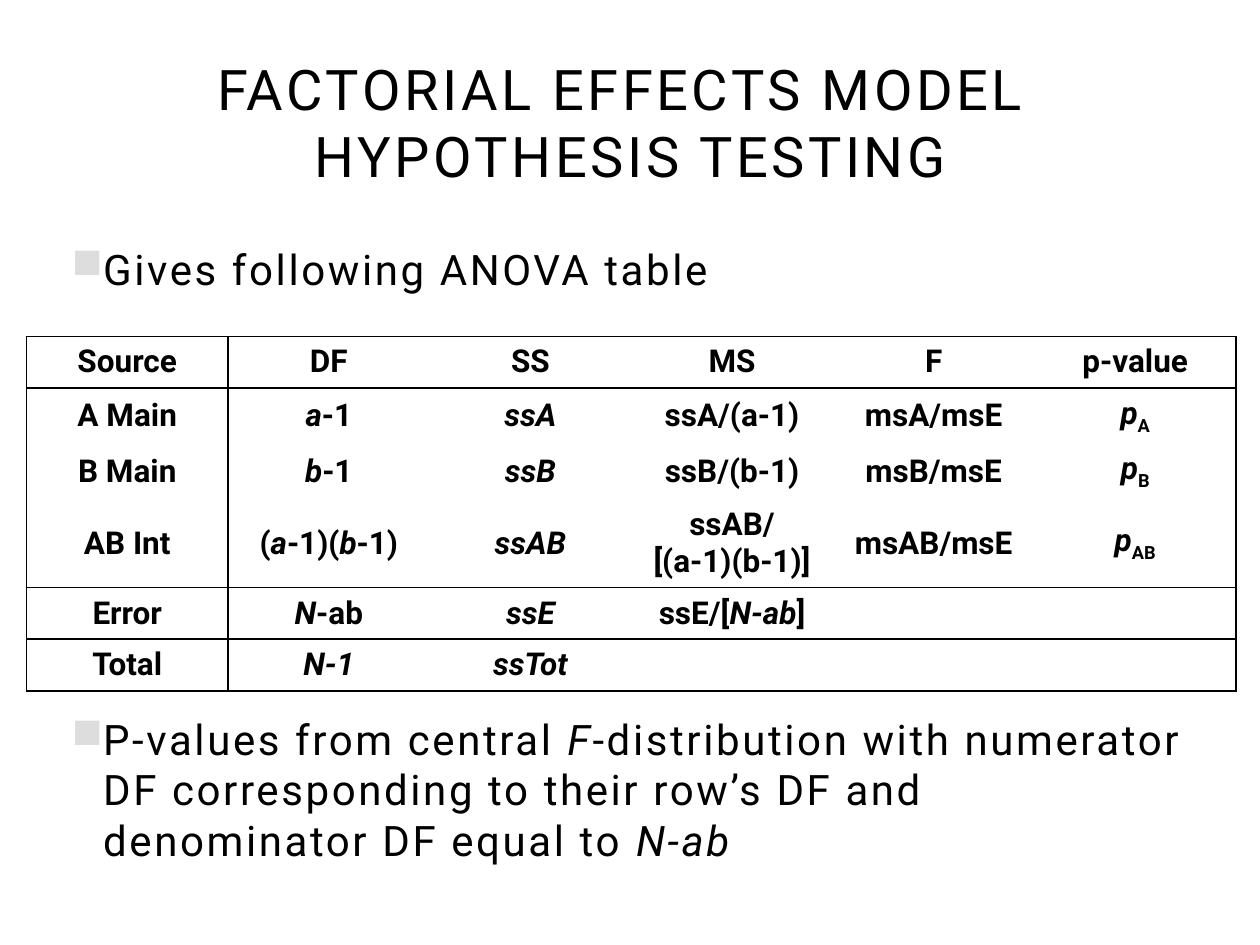
"""Build a slide with the ANOVA table for factorial effects hypothesis testing."""
from dataclasses import dataclass

import pptx
import pptx.dml.color
import pptx.enum.text
import pptx.oxml
import pptx.oxml.ns
import pptx.util

Inches = pptx.util.Inches
Pt = pptx.util.Pt
CENTER = pptx.enum.text.PP_ALIGN.CENTER
MIDDLE = pptx.enum.text.MSO_ANCHOR.MIDDLE


@dataclass(frozen=True)
class Theme:
    """Colours, font and type sizes of the slide."""
    ink: str = "000000"
    paper: str = "FFFFFF"
    bullet: str = "DDDDDD"
    font: str = "Roboto"
    title_size: int = 32
    body_size: int = 24
    table_size: int = 18
    title_tracking: float = 2
    body_tracking: float = 1.5
    border_width: float = 1


@dataclass(frozen=True)
class Run:
    """A piece of text with one style."""
    text: str
    italic: bool = False
    subscript: bool = False


@dataclass(frozen=True)
class Bullet:
    """A bulleted paragraph and the space above it in points."""
    runs: tuple[Run, ...]
    space_before: float = 0


Paragraphs = tuple[tuple[Run, ...], ...]
THEME = Theme()


def upright(text: str) -> Paragraphs:
    """Return a single upright paragraph."""
    return ((Run(text),),)


def italic(text: str) -> Paragraphs:
    """Return a single italic paragraph."""
    return ((Run(text, True),),)


def p_value(effect: str) -> Paragraphs:
    """Return the symbol p with the effect as its subscript."""
    return ((Run("p", True), Run(effect, subscript=True)),)


HEADER = tuple(upright(text) for text in ("Source", "DF", "SS", "MS", "F", "p-value"))
ROWS = (
    HEADER,
    (upright("A Main"), ((Run("a", True), Run("-1")),), italic("ssA"),
     upright("ssA/(a-1)"), upright("msA/msE"), p_value("A")),
    (upright("B Main"), ((Run("b", True), Run("-1")),), italic("ssB"),
     upright("ssB/(b-1)"), upright("msB/msE"), p_value("B")),
    (upright("AB Int"),
     ((Run("("), Run("a", True), Run("-1)("), Run("b", True), Run("-1)")),),
     italic("ssAB"), upright("ssAB/") + upright("[(a-1)(b-1)]"),
     upright("msAB/msE"), p_value("AB")),
    (upright("Error"), ((Run("N", True), Run("-ab")),), italic("ssE"),
     ((Run("ssE/["), Run("N-ab", True), Run("]")),), (), ()),
    (upright("Total"), italic("N-1"), italic("ssTot"), (), (), ()),
)
ROW_HEIGHTS = (0.41, 0.41, 0.41, 0.69, 0.41, 0.41)
COLUMN_WIDTH = 1.6
RULED_ROW_EDGES = {0, 1, 4, 5, 6}
RULED_COLUMN_EDGES = {0, 1, 6}
BULLETS = (
    Bullet((Run("Gives following ANOVA table"),)),
    Bullet((Run("P-values from central "), Run("F", True),
            Run("-distribution with numerator DF corresponding to their row’s DF "
                "and denominator DF equal to "), Run("N-ab", True)), 240),
)


def color(value: str) -> pptx.dml.color.RGBColor:
    """Return the colour for a hexadecimal value."""
    return pptx.dml.color.RGBColor.from_string(value)


def add_run(paragraph, run: Run, size: float, bold: bool = False, tracking: float = 0) -> None:
    """Add one styled run to a paragraph."""
    text_run = paragraph.add_run()
    text_run.text = run.text
    font = text_run.font
    font.name, font.size = THEME.font, Pt(size)
    font.bold, font.italic = bold, run.italic
    font.color.rgb = color(THEME.ink)
    properties = text_run._r.get_or_add_rPr()
    if tracking:
        properties.set("spc", str(int(tracking * 100)))
    if run.subscript:
        properties.set("baseline", "-25000")


def format_title(title) -> None:
    """Place the title and write its two lines."""
    title.left, title.top = Inches(0.42), Inches(0.39)
    title.width, title.height = Inches(9.17), Inches(1.15)
    title.fill.solid()
    title.fill.fore_color.rgb = color(THEME.paper)
    frame = title.text_frame
    frame.vertical_anchor = MIDDLE
    frame.auto_size = pptx.enum.text.MSO_AUTO_SIZE.NONE
    paragraph = frame.paragraphs[0]
    paragraph.alignment = CENTER
    for index, line in enumerate(("FACTORIAL EFFECTS MODEL ", "HYPOTHESIS TESTING")):
        if index:
            paragraph.add_line_break()
        add_run(paragraph, Run(line), THEME.title_size, tracking=THEME.title_tracking)


def add_bullets(slide, bullets: tuple[Bullet, ...]) -> None:
    """Add the bulleted text above and below the table."""
    shape = slide.shapes.add_textbox(Inches(0.42), Inches(1.88), Inches(9.19), Inches(5.62))
    frame = shape.text_frame
    frame.word_wrap = True
    for index, bullet in enumerate(bullets):
        paragraph = frame.add_paragraph() if index else frame.paragraphs[0]
        paragraph.line_spacing = Pt(28.8)
        paragraph.space_before = Pt(bullet.space_before)
        properties = paragraph._p.get_or_add_pPr()
        properties.set("marL", str(Inches(0.3)))
        properties.set("indent", str(Inches(-0.25)))
        namespace = pptx.oxml.ns.nsdecls("a")
        for xml in (f'<a:buClr {namespace}><a:srgbClr val="{THEME.bullet}"/></a:buClr>',
                    f'<a:buChar {namespace} char="■"/>'):
            properties.append(pptx.oxml.parse_xml(xml))
        for run in bullet.runs:
            add_run(paragraph, run, THEME.body_size, tracking=THEME.body_tracking)


def set_borders(cell, row: int, column: int) -> None:
    """Rule the sides of a cell that lie on a ruled edge of the table."""
    sides = {
        "lnL": column in RULED_COLUMN_EDGES,
        "lnR": column + 1 in RULED_COLUMN_EDGES,
        "lnT": row in RULED_ROW_EDGES,
        "lnB": row + 1 in RULED_ROW_EDGES,
    }
    properties = cell._tc.get_or_add_tcPr()
    for index, (side, ruled) in enumerate(sides.items()):
        paint = (f'<a:solidFill><a:srgbClr val="{THEME.ink}"/></a:solidFill>'
                 if ruled else "<a:noFill/>")
        properties.insert(index, pptx.oxml.parse_xml(
            f'<a:{side} {pptx.oxml.ns.nsdecls("a")} w="{Pt(THEME.border_width)}">'
            f"{paint}</a:{side}>"))


def fill_cell(cell, paragraphs: Paragraphs) -> None:
    """Write the centred paragraphs of a table cell."""
    cell.fill.background()
    cell.vertical_anchor = MIDDLE
    frame = cell.text_frame
    frame.paragraphs[0].font.size = Pt(THEME.table_size)
    for index, runs in enumerate(paragraphs):
        paragraph = frame.add_paragraph() if index else frame.paragraphs[0]
        paragraph.alignment = CENTER
        for run in runs:
            add_run(paragraph, run, THEME.table_size, bold=True)


def add_anova_table(slide) -> None:
    """Add the ANOVA table."""
    columns = len(HEADER)
    table = slide.shapes.add_table(
        len(ROWS), columns, Inches(0.21), Inches(2.67),
        Inches(COLUMN_WIDTH * columns), Inches(sum(ROW_HEIGHTS))).table
    table.first_row = table.horz_banding = False
    for column in table.columns:
        column.width = Inches(COLUMN_WIDTH)
    for row, (contents, height) in enumerate(zip(ROWS, ROW_HEIGHTS)):
        table.rows[row].height = Inches(height)
        for column, paragraphs in enumerate(contents):
            cell = table.cell(row, column)
            fill_cell(cell, paragraphs)
            set_borders(cell, row, column)


def main() -> None:
    """Build and save the presentation."""
    presentation = pptx.Presentation()
    presentation.slide_width, presentation.slide_height = Inches(10), Inches(7.5)
    slide = presentation.slides.add_slide(presentation.slide_layouts[5])
    format_title(slide.shapes.title)
    add_bullets(slide, BULLETS)
    add_anova_table(slide)
    presentation.save("out.pptx")


if __name__ == "__main__":
    main()
